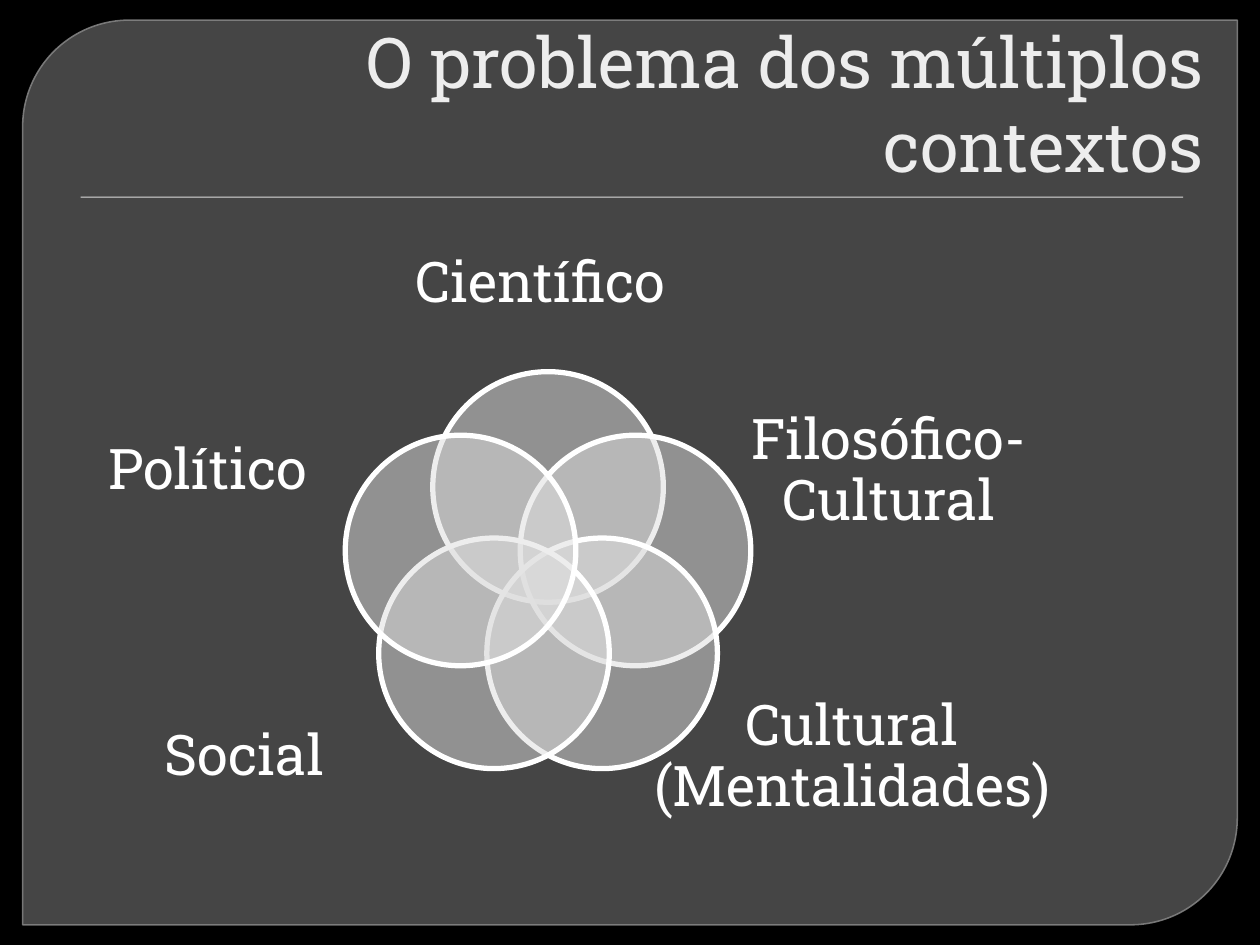
from math import cos, pi, sin

from pptx import Presentation
from pptx.dml.color import RGBColor
from pptx.enum.shapes import MSO_SHAPE
from pptx.enum.text import MSO_ANCHOR, MSO_AUTO_SIZE, PP_ALIGN
from pptx.oxml.ns import qn
from pptx.util import Inches, Pt
from lxml import etree

BLACK = RGBColor(0x00, 0x00, 0x00)
PANEL = RGBColor(0x6B, 0x6B, 0x6B)
PANEL_EDGE = RGBColor(0x84, 0x84, 0x84)
LIGHT = RGBColor(0xDD, 0xDD, 0xDD)
TITLE = RGBColor(0xED, 0xED, 0xED)
WHITE = RGBColor(0xFF, 0xFF, 0xFF)
FONT = "Roboto Slab"

CONTEXTS = [
    ("Científico", (3.23, 1.64, 2.12, 1.23)),
    ("Filosófico-Cultural", (5.87, 3.08, 2.37, 1.33)),
    ("Cultural (Mentalidades)", (5.13, 5.35, 3.27, 1.33)),
    ("Social", (0.99, 5.35, 1.9, 1.33)),
    ("Político", (0.7, 3.08, 1.9, 1.33)),
]


def set_alpha(fill_owner, percent):
    color = fill_owner.find(qn("a:solidFill"))[0]
    etree.SubElement(color, qn("a:alpha")).set("val", str(percent * 1000))


def add_filled(shapes, kind, box, color):
    sp = shapes.add_shape(kind, *map(Inches, box))
    sp.shadow.inherit = False
    sp.fill.solid()
    sp.fill.fore_color.rgb = color
    return sp


def set_outline(sp, color, width):
    sp.line.color.rgb = color
    sp.line.width = Pt(width)


def style_paragraph(p, size, color, align):
    p.alignment = align
    p.font.name = FONT
    p.font.size = Pt(size)
    p.font.color.rgb = color


def add_backdrop(s, box):
    s.background.fill.solid()
    s.background.fill.fore_color.rgb = BLACK
    panel = add_filled(s.shapes, MSO_SHAPE.ROUND_2_DIAG_RECTANGLE, box, PANEL)
    panel.adjustments[0] = 0.118
    panel.adjustments[1] = 0
    set_outline(panel, PANEL_EDGE, 0.87)
    set_alpha(panel.element.spPr, 65)
    set_alpha(panel.element.spPr.find(qn("a:ln")), 88)
    left, top, width, _ = box
    rule = add_filled(s.shapes, MSO_SHAPE.RECTANGLE,
                      (left + 0.46, top + 1.4, width - 0.89, 0.01), LIGHT)
    rule.line.fill.background()


def place_title(s, box, text):
    title = s.shapes.title
    title.left, title.top, title.width, title.height = map(Inches, box)
    s.shapes.element.append(title.element)
    tf = title.text_frame
    tf.text = text
    tf.word_wrap = True
    tf.auto_size = MSO_AUTO_SIZE.NONE
    tf.vertical_anchor = MSO_ANCHOR.BOTTOM
    tf.margin_left = Inches(0.2)
    style_paragraph(tf.paragraphs[0], 40, TITLE, PP_ALIGN.RIGHT)


def add_label(shapes, box, text):
    tf = shapes.add_textbox(*map(Inches, box)).text_frame
    tf.word_wrap = True
    tf.margin_left = tf.margin_right = tf.margin_top = tf.margin_bottom = 0
    tf.vertical_anchor = MSO_ANCHOR.MIDDLE
    p = tf.paragraphs[0]
    p.text = text
    p.line_spacing = 0.9
    style_paragraph(p, 32, WHITE, PP_ALIGN.CENTER)


def add_venn(s, box, contexts):
    left, top, width, _ = box
    diameter, orbit = 1.83, 0.73
    cx, cy = left + width / 2, top + diameter / 2 + orbit
    shapes = s.shapes.add_group_shape().shapes
    for i, (text, label_box) in enumerate(contexts):
        angle = 2 * pi * i / len(contexts)
        x = cx + orbit * sin(angle) - diameter / 2
        y = cy - orbit * cos(angle) - diameter / 2
        circle = add_filled(shapes, MSO_SHAPE.OVAL, (x, y, diameter, diameter), LIGHT)
        set_outline(circle, WHITE, 3)
        set_alpha(circle.element.spPr, 50)
        add_label(shapes, label_box, text)


def main():
    prs = Presentation()
    prs.slide_width, prs.slide_height = Inches(10), Inches(7.5)
    s = prs.slides.add_slide(prs.slide_layouts[5])
    add_backdrop(s, (0.18, 0.16, 9.64, 7.18))
    place_title(s, (0.12, 0.28, 9.53, 1.25), "O problema dos múltiplos contextos")
    add_venn(s, (2.74, 2.95, 3.22, 3.16), CONTEXTS)
    prs.save("out.pptx")


if __name__ == "__main__":
    main()
